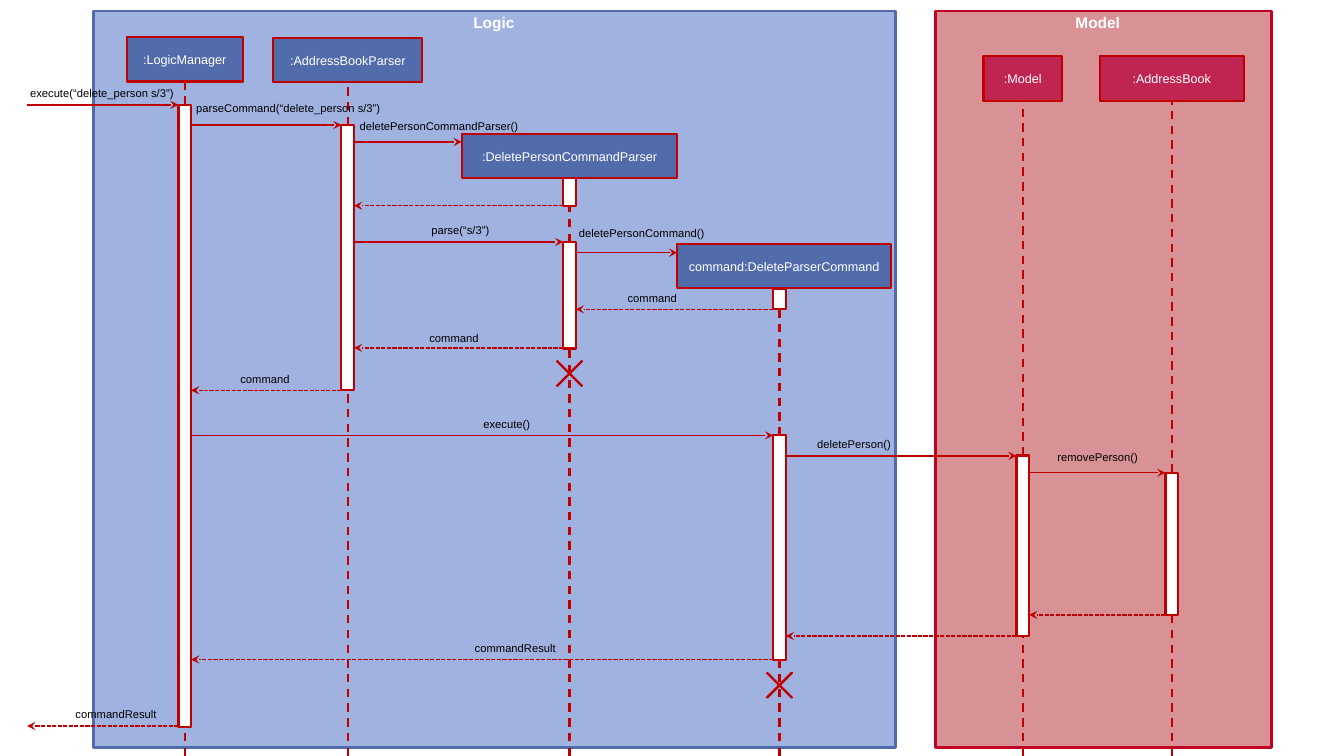
import lxml.etree
import pptx
import pptx.dml.color
import pptx.enum.dml
import pptx.enum.shapes
import pptx.enum.text
import pptx.oxml.ns
import pptx.util

Pt = pptx.util.Pt
qn = pptx.oxml.ns.qn
SHAPES = pptx.enum.shapes.MSO_SHAPE
DASHES = pptx.enum.dml.MSO_LINE
CENTER = pptx.enum.text.PP_ALIGN.CENTER

PAGE_WIDTH, PAGE_HEIGHT = 960, 540
BAR_WIDTH = 9
HEAD_HEIGHT = 31.7
CROSS_SIZE = 25.2
TOP, BOTTOM = 0, 2  # connection sites of a rectangle

COLOURS = {
    "logic": "526CAB", "logic area": "6280CA",
    "model": "C02451", "model area": "BF494E", "model edge": "C10023",
    "line": "C00000", "white": "FFFFFF", "black": "000000",
}
FORMATS = {
    "title": {"size": Pt(11), "name": "Arial", "bold": True},
    "head": {"size": Pt(9), "name": "Arial"},
    "label": {"size": Pt(8), "name": "Arial"},
}

# Lifeline centres, and the outer edges that messages reach
LOGIC, PARSER, DELETE_PARSER, COMMAND, MODEL, BOOK = 132, 248.4, 406.8, 556.8, 730.6, 837
CALLER, DELETE_PARSER_HEAD, COMMAND_HEAD = 19.4, 329.8, 483.8

# area fill, edge, left, width, title, title left
FRAMES = [
    ("logic area", "logic", 67, 572.4, "Logic", 299.5),
    ("model area", "model edge", 668.2, 239.8, "Model", 730.8),
]
# name, fill, lifeline, head centre, head top, head width, activation bars (top, bottom)
LIFELINES = [
    (":LogicManager", "logic", LOGIC, LOGIC, 26.6, 83, [(74.9, 519.1)]),
    (":AddressBookParser", "logic", PARSER, PARSER, 27.2, 106.6, [(89.3, 278.8)]),
    (":DeletePersonCommandParser", "logic", DELETE_PARSER, DELETE_PARSER, 95.6, 154,
     [(127.3, 146.9), (172.8, 249)]),
    ("command:DeleteParserCommand", "logic", COMMAND, 560.1, 174.4, 152.6,
     [(206.1, 221), (311, 471.2)]),
    (":Model", "model", MODEL, MODEL, 40.2, 56.2, [(325.4, 454.3)]),
    (":AddressBook", "model", BOOK, BOOK, 40.2, 103, [(337.7, 439.2)]),
]
# lifeline, centre height
CROSSES = [(DELETE_PARSER, 266.8), (COMMAND, 489.4)]
# from, to, height, label, label left, label top, label width
CALLS = [
    (CALLER, LOGIC, 74.9, "execute(“delete_person s/3”)", 14.4, 57.8, 122),
    (LOGIC, PARSER, 89.3, "parseCommand(“delete_person s/3”)", 133, 69, 189.4),
    (PARSER, DELETE_PARSER_HEAD, 101.4, "deletePersonCommandParser()", 249.8, 81.5, 131),
    (PARSER, DELETE_PARSER, 172.8, "parse(“s/3”)", 301, 156.2, 60.5),
    (DELETE_PARSER, COMMAND_HEAD, 180.5, "deletePersonCommand()", 406.4, 158.4, 131),
    (LOGIC, COMMAND, 311, "execute()", 338.2, 294.6, 50.6),
    (COMMAND, MODEL, 325.6, "deletePerson()", 576.6, 309, 131),
    (MODEL, BOOK, 337.7, "removePerson()", 748.2, 318.3, 131),
]
RETURNS = [
    (DELETE_PARSER, PARSER, 146.9, "", 0, 0, 0),
    (COMMAND, DELETE_PARSER, 221, "command", 441.2, 204.6, 81.4),
    (DELETE_PARSER, PARSER, 248.5, "command", 299.6, 233.2, 131),
    (PARSER, LOGIC, 278.8, "command", 164.6, 262.2, 131),
    (BOOK, MODEL, 439.2, "", 0, 0, 0),
    (MODEL, COMMAND, 454.3, "", 0, 0, 0),
    (COMMAND, LOGIC, 471.1, "commandResult", 332, 454.6, 81.4),
    (LOGIC, CALLER, 518.6, "commandResult", 46.8, 501.8, 131),
]
OUTER_EDGES = (CALLER, DELETE_PARSER_HEAD, COMMAND_HEAD)


def colour(name):
    return pptx.dml.color.RGBColor.from_string(COLOURS[name])


def write(frame, text, style, ink, align=None):
    para = frame.paragraphs[0]
    para.alignment = align
    span = para.add_run()
    span.text = text
    for attribute, value in FORMATS[style].items():
        setattr(span.font, attribute, value)
    span.font.color.rgb = colour(ink)


def add_text(page, left, top, width, height, text, style, ink, align=None):
    box = page.shapes.add_textbox(Pt(left), Pt(top), Pt(width), Pt(height))
    box.text_frame.word_wrap = True
    box.text_frame.auto_size = pptx.enum.text.MSO_AUTO_SIZE.SHAPE_TO_FIT_TEXT
    write(box.text_frame, text, style, ink, align)


def add_shape(page, left, top, width, height, fill, edge="line", weight=1.5,
              kind=SHAPES.RECTANGLE):
    shape = page.shapes.add_shape(kind, Pt(left), Pt(top), Pt(width), Pt(height))
    shape.shadow.inherit = False
    shape.fill.solid()
    shape.fill.fore_color.rgb = colour(fill)
    shape.line.color.rgb = colour(edge)
    shape.line.width = Pt(weight)
    return shape


def add_line(page, x1, y1, x2, y2, weight, dash=None, arrow=False):
    line = page.shapes.add_connector(
        pptx.enum.shapes.MSO_CONNECTOR.STRAIGHT, Pt(x1), Pt(y1), Pt(x2), Pt(y2))
    line.line.color.rgb = colour("line")
    line.line.width = Pt(weight)
    line.line.dash_style = dash
    properties = line.element.spPr
    if arrow:
        lxml.etree.SubElement(properties.find(qn("a:ln")), qn("a:tailEnd"), type="stealth")
    lxml.etree.SubElement(properties, qn("a:effectLst"))
    return line


def add_frame(page, fill, edge, left, width, title, title_left):
    area = add_shape(page, left, 7.9, width, 526.3, fill, edge, 2)
    tint = area.element.spPr.find(qn("a:solidFill"))[0]
    lxml.etree.SubElement(tint, qn("a:alpha"), val="60000")
    add_text(page, title_left, 5.8, 106.6, 20.9, title, "title", "white", CENTER)


def add_lifeline(page, name, fill, x, head_centre, head_top, head_width, bars):
    above = add_shape(page, head_centre - head_width / 2, head_top,
                      head_width, HEAD_HEIGHT, fill)
    above.text_frame.margin_left = above.text_frame.margin_right = 0
    above.text_frame.vertical_anchor = pptx.enum.text.MSO_ANCHOR.MIDDLE
    write(above.text_frame, name, "head", "white", CENTER)
    end = head_top + HEAD_HEIGHT
    for top, bottom in bars:
        bar = add_shape(page, x - BAR_WIDTH / 2, top, BAR_WIDTH, bottom - top, "white")
        if top - end > 1:
            line = add_line(page, x, top, x, end, 1.5, DASHES.DASH)
            line.begin_connect(bar, TOP)
            line.end_connect(above, BOTTOM)
        above, end = bar, bottom
    line = add_line(page, x, PAGE_HEIGHT, x, end, 1.5, DASHES.DASH)
    line.end_connect(above, BOTTOM)


def add_cross(page, x, y):
    cross = add_shape(page, x - CROSS_SIZE / 2, y - CROSS_SIZE / 2, CROSS_SIZE, CROSS_SIZE,
                      "line", weight=1, kind=SHAPES.CROSS)
    cross.adjustments[0] = 0.487
    cross.rotation = 315


def add_message(page, start, end, y, label, left, top, width, dash=None):
    # Messages run between the facing sides of the activation bars
    side = BAR_WIDTH / 2 if end > start else -BAR_WIDTH / 2
    x1 = start if start in OUTER_EDGES else start + side
    x2 = end if end in OUTER_EDGES else end - side
    add_line(page, x1, y, x2, y, 1, dash, arrow=True)
    if label:
        add_text(page, left, top, width, 17, label, "label", "black")


def main():
    deck = pptx.Presentation()
    deck.slide_width, deck.slide_height = Pt(PAGE_WIDTH), Pt(PAGE_HEIGHT)
    page = deck.slides.add_slide(deck.slide_layouts[6])
    # Areas and participants
    for frame in FRAMES:
        add_frame(page, *frame)
    for lifeline in LIFELINES:
        add_lifeline(page, *lifeline)
    for cross in CROSSES:
        add_cross(page, *cross)
    # Messages
    for call in CALLS:
        add_message(page, *call)
    for reply in RETURNS:
        add_message(page, *reply, dash=DASHES.SQUARE_DOT)
    deck.save("out.pptx")


if __name__ == "__main__":
    main()
